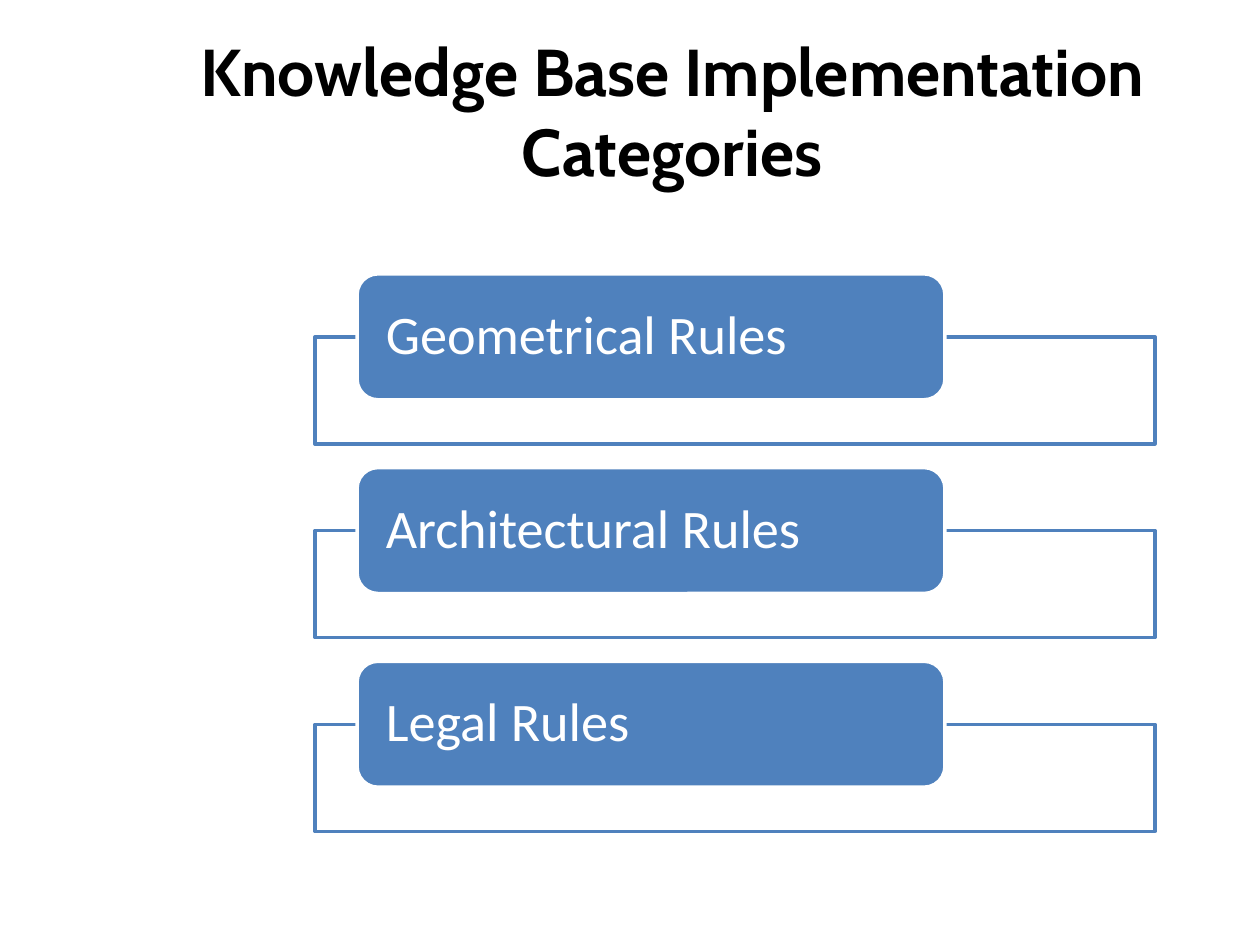
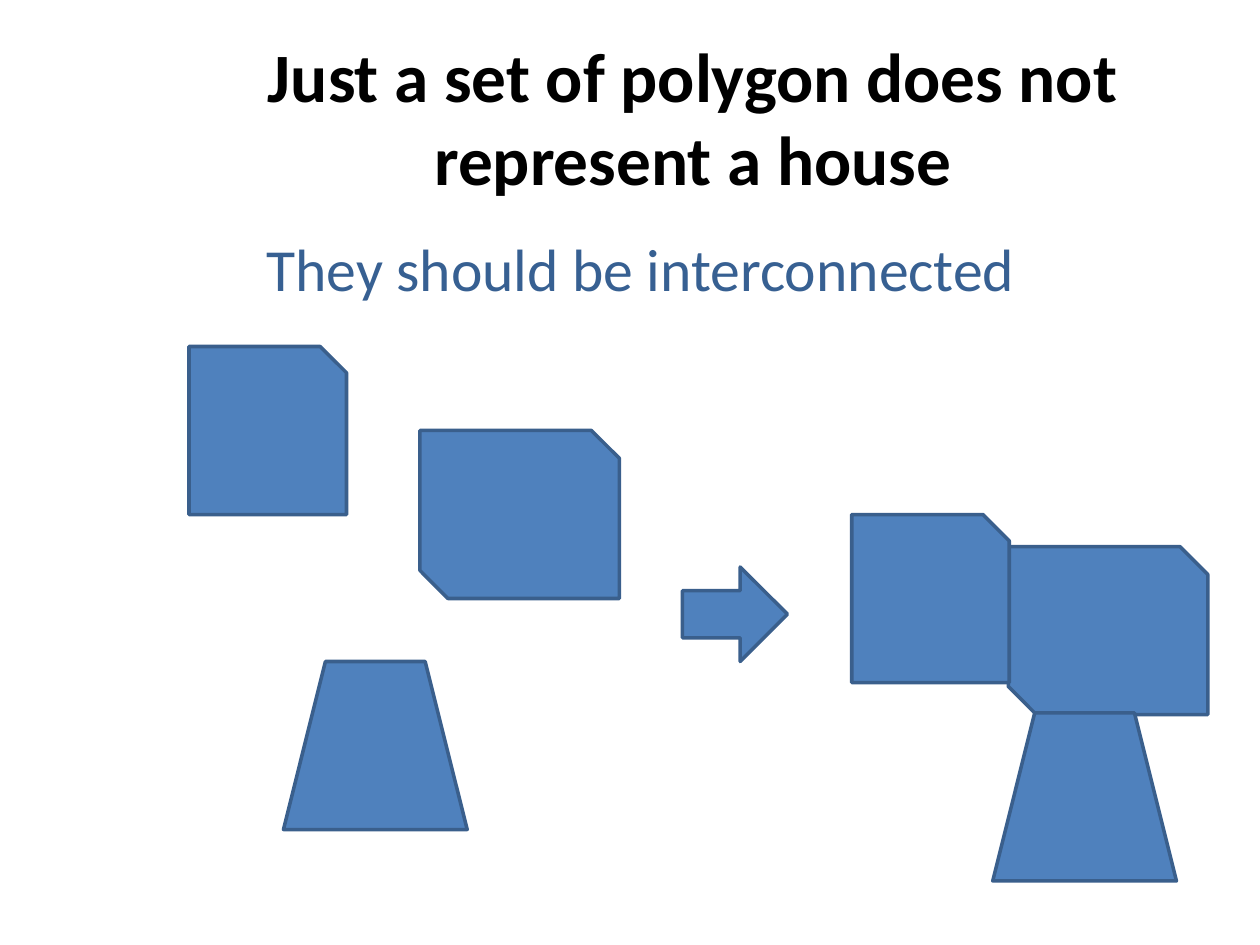
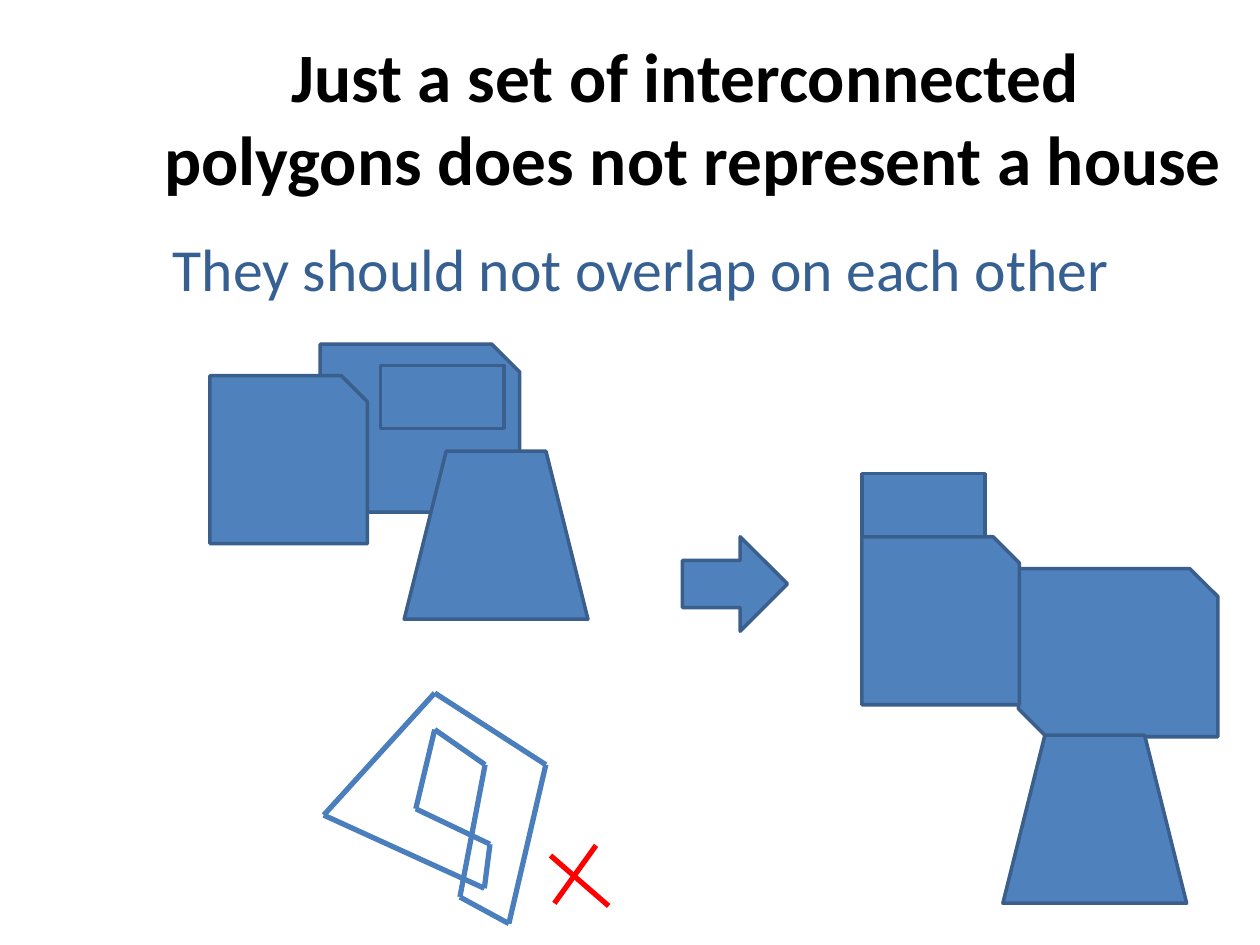
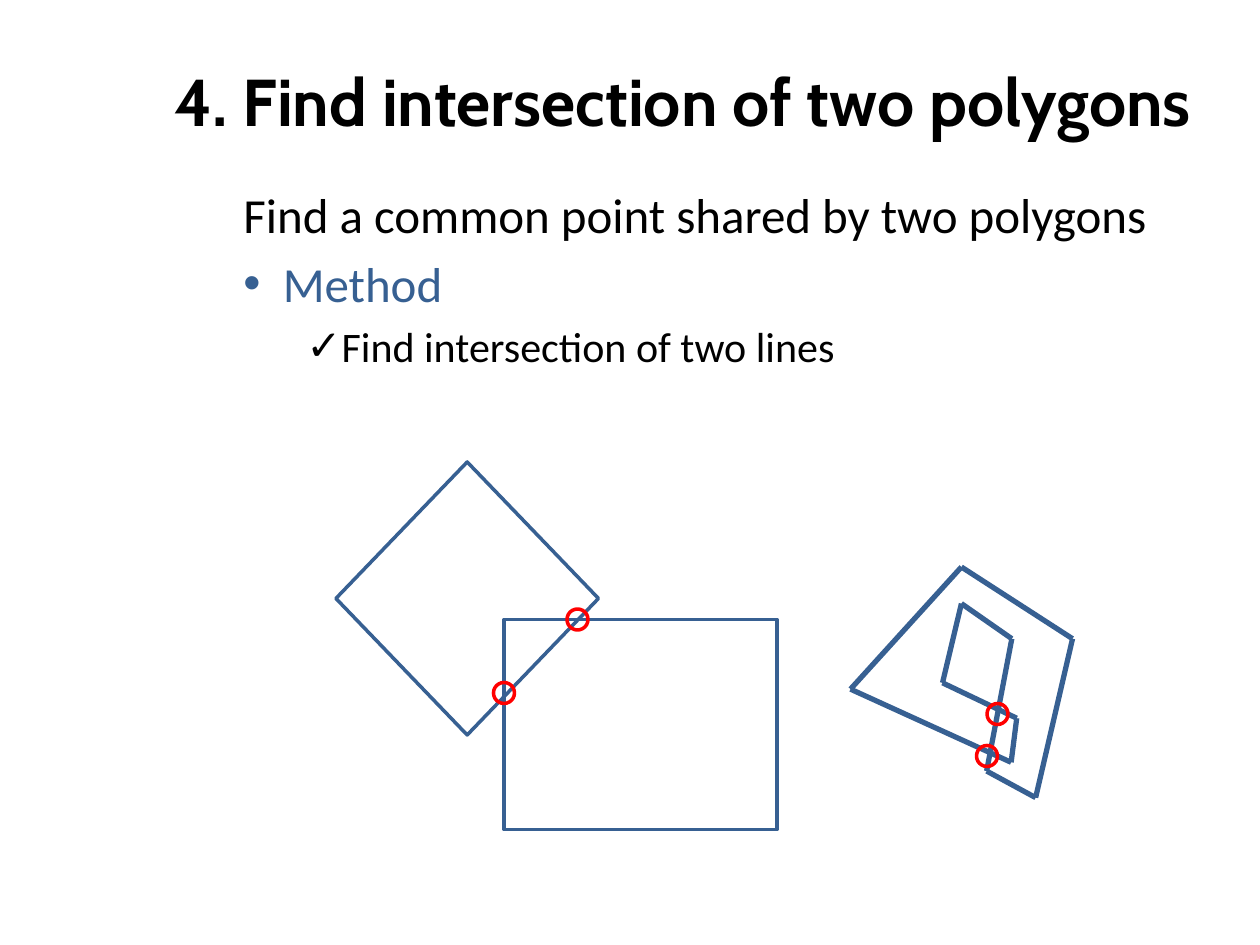
from itertools import pairwise

from lxml import etree
from pptx import Presentation
from pptx.dml.color import RGBColor
from pptx.enum import shapes, text
from pptx.oxml import ns
from pptx.util import Pt

BLUE = RGBColor(0x4F, 0x81, 0xBD)
EDGE_BLUE = RGBColor(0x3A, 0x5F, 0x8C)
STROKE_BLUE = RGBColor(0x4B, 0x7E, 0xBC)
DARK_BLUE = RGBColor(0x37, 0x60, 0x92)
RED = RGBColor(0xFF, 0, 0)
BLACK = RGBColor(0, 0, 0)
WHITE = RGBColor(0xFF, 0xFF, 0xFF)

HEADING_FONT = "Cabin"
BODY_FONT = "Calibri"
KIND = shapes.MSO_SHAPE

HALL = (KIND.SNIP_2_DIAG_RECTANGLE, 114, 96)
PORCH = (KIND.TRAPEZOID, 105, 96)
ROOM = (KIND.SNIP_1_RECTANGLE, 90, 96)
ANNEX = (KIND.RECTANGLE, 70.5, 36)
HOUSE = [(HALL, 89.5, 18.3), (PORCH, 80.6, 113.4), (ROOM, 0, 0)]
HOUSE_WITH_ANNEX = HOUSE + [(ANNEX, 0, -36)]

CROSSED_OUTLINE = [
    (0, 69.8), (63.4, 0), (126.9, 41), (105.8, 131.8), (77.8, 116.6),
    (92.2, 41), (63.4, 20.9), (52.6, 66.2), (95, 86.4), (91.8, 111.6),
]


def add_span(para, words, size, color, font=BODY_FONT, bold=False):
    span = para.add_run()
    span.text = words
    span.font.size = Pt(size)
    span.font.name = font
    span.font.bold = bold
    span.font.color.rgb = color


def prepare_frame(frame, anchor=text.MSO_ANCHOR.MIDDLE):
    frame.word_wrap = True
    frame.auto_size = text.MSO_AUTO_SIZE.NONE
    frame.vertical_anchor = anchor
    return frame.paragraphs[0]


def add_titled_page(deck, lines, left, top, size=39.6, font=BODY_FONT):
    page = deck.slides.add_slide(deck.slide_layouts[5])
    title = page.shapes.title
    title.left, title.top, title.width, title.height = Pt(left), Pt(top), Pt(648), Pt(90)
    para = prepare_frame(title.text_frame)
    para.alignment = text.PP_ALIGN.CENTER
    for index, line in enumerate(lines):
        if index:
            para.add_line_break()
        add_span(para, line, size, BLACK, font, True)
    return page


def add_subtitle(page, words):
    box = page.shapes.add_textbox(Pt(42), Pt(108), Pt(648), Pt(90))
    para = prepare_frame(box.text_frame)
    para.alignment = text.PP_ALIGN.CENTER
    add_span(para, words, 34.1, DARK_BLUE)


def add_block(page, kind, left, top, width, height, fill=BLUE, line=EDGE_BLUE):
    block = page.shapes.add_shape(kind, Pt(left), Pt(top), Pt(width), Pt(height))
    block.shadow.inherit = False
    if fill is None:
        block.fill.background()
    else:
        block.fill.solid()
        block.fill.fore_color.rgb = fill
    block.line.color.rgb = line
    block.line.width = Pt(2)
    return block


def add_parts(page, left, top, parts):
    for (kind, width, height), across, down in parts:
        add_block(page, kind, left + across, top + down, width, height)


def add_stroke(page, start, end, color):
    stroke = page.shapes.add_connector(
        shapes.MSO_CONNECTOR.STRAIGHT, *(Pt(value) for value in (*start, *end)))
    stroke.line.color.rgb = color
    stroke.line.width = Pt(3)
    etree.SubElement(stroke.element.spPr, ns.qn("a:effectLst"))


def add_crossed_outline(page, left, top, color):
    corners = [(left + x, top + y) for x, y in CROSSED_OUTLINE]
    for start, end in pairwise(corners + corners[:1]):
        add_stroke(page, start, end, color)


def add_arrow(page, top):
    add_block(page, KIND.RIGHT_ARROW, 390, top, 60, 54)


def add_category(page, left, top, words):
    add_block(page, KIND.RECTANGLE, left, top + 36, 480, 61.2, WHITE, BLUE)
    label = add_block(page, KIND.ROUNDED_RECTANGLE, left + 24, top, 336, 72, BLUE, WHITE)
    frame = label.text_frame
    para = prepare_frame(frame)
    frame.margin_left = frame.margin_right = Pt(13)
    frame.margin_top = frame.margin_bottom = 0
    para.alignment = text.PP_ALIGN.LEFT
    para.line_spacing = 0.9
    add_span(para, words, 31, WHITE)


def set_indent(para, left, first, bullet):
    props = para._p.get_or_add_pPr()
    props.set("marL", str(Pt(left)))
    props.set("indent", str(Pt(first)))
    if bullet:
        etree.SubElement(props, ns.qn("a:buFont")).set("typeface", "Arial")
        etree.SubElement(props, ns.qn("a:buChar")).set("char", bullet)
    else:
        etree.SubElement(props, ns.qn("a:buNone"))


def add_method_text(page, left, top):
    box = page.shapes.add_textbox(Pt(left), Pt(top), Pt(624), Pt(380))
    frame = box.text_frame
    para = prepare_frame(frame, text.MSO_ANCHOR.TOP)
    rows = [
        ("Find a common point shared by two polygons", 28, BLACK, 58.5, -22.5, None),
        ("Method", 28, DARK_BLUE, 58.5, -22.5, "•"),
        ("Find intersection of two lines", 24, BLACK, 90, -18, "✓"),
    ]
    for index, (words, size, color, indent, first, bullet) in enumerate(rows):
        if index:
            para = frame.add_paragraph()
        para.alignment = text.PP_ALIGN.JUSTIFY
        para.space_before = Pt(size * 0.2)
        set_indent(para, indent, first, bullet)
        add_span(para, words, size, color)


def add_crossing_marks(page, left, top, spots):
    for across, down in spots:
        add_block(page, KIND.FLOWCHART_CONNECTOR, left + across, top + down, 12, 12, None, RED)


def add_crossing_rectangles(page, left, top):
    add_block(page, KIND.DIAMOND, left, top, 150, 156, None, DARK_BLUE)
    add_block(page, KIND.RECTANGLE, left + 96, top + 90, 156, 120, None, DARK_BLUE)
    add_crossing_marks(page, left, top, [(132, 84), (90, 126)])


def build_categories(deck):
    page = add_titled_page(
        deck, ["Knowledge Base Implementation Categories"], 60, 18, 37.8, HEADING_FONT)
    names = ["Geometrical Rules", "Architectural Rules", "Legal Rules"]
    for index, name in enumerate(names):
        add_category(page, 180, 156.5 + index * 110.7, name)


def build_interconnected(deck):
    page = add_titled_page(
        deck, ["Just a set of polygon does not represent a house"], 72, 21.6)
    add_subtitle(page, "They should be interconnected")
    add_parts(page, 108, 198, [(HALL, 132, 48), (PORCH, 54, 180), (ROOM, 0, 0)])
    add_arrow(page, 324)
    add_parts(page, 486.7, 294, HOUSE)


def build_overlap(deck):
    page = add_titled_page(
        deck, ["Just a set of interconnected ", "polygons does not represent a house"], 72, 21.6)
    add_subtitle(page, "They should not overlap on each other")
    add_arrow(page, 306.7)
    add_parts(page, 120, 214.6, [
        (HALL, 63, -18), (PORCH, 111, 43.2), (ROOM, 0, 0), (ANNEX, 97.4, -5.8)])
    add_parts(page, 492.5, 306.7, HOUSE_WITH_ANNEX)
    add_crossed_outline(page, 185, 396, STROKE_BLUE)
    add_stroke(page, (340.6, 483.1), (316.8, 516.2), RED)
    add_stroke(page, (314.6, 488.9), (347.8, 517.7), RED)


def build_intersection(deck):
    page = add_titled_page(
        deck, ["4. Find intersection of two polygons"], 66, 12, 37.8, HEADING_FONT)
    add_method_text(page, 96, 102)
    add_crossing_rectangles(page, 192, 264)
    add_crossed_outline(page, 486, 324, DARK_BLUE)
    add_crossing_marks(page, 486, 324, [(72, 102), (78, 78)])


def main():
    deck = Presentation()
    deck.slide_width, deck.slide_height = Pt(720), Pt(540)
    build_categories(deck)
    build_interconnected(deck)
    build_overlap(deck)
    build_intersection(deck)
    deck.save("out.pptx")


if __name__ == "__main__":
    main()
